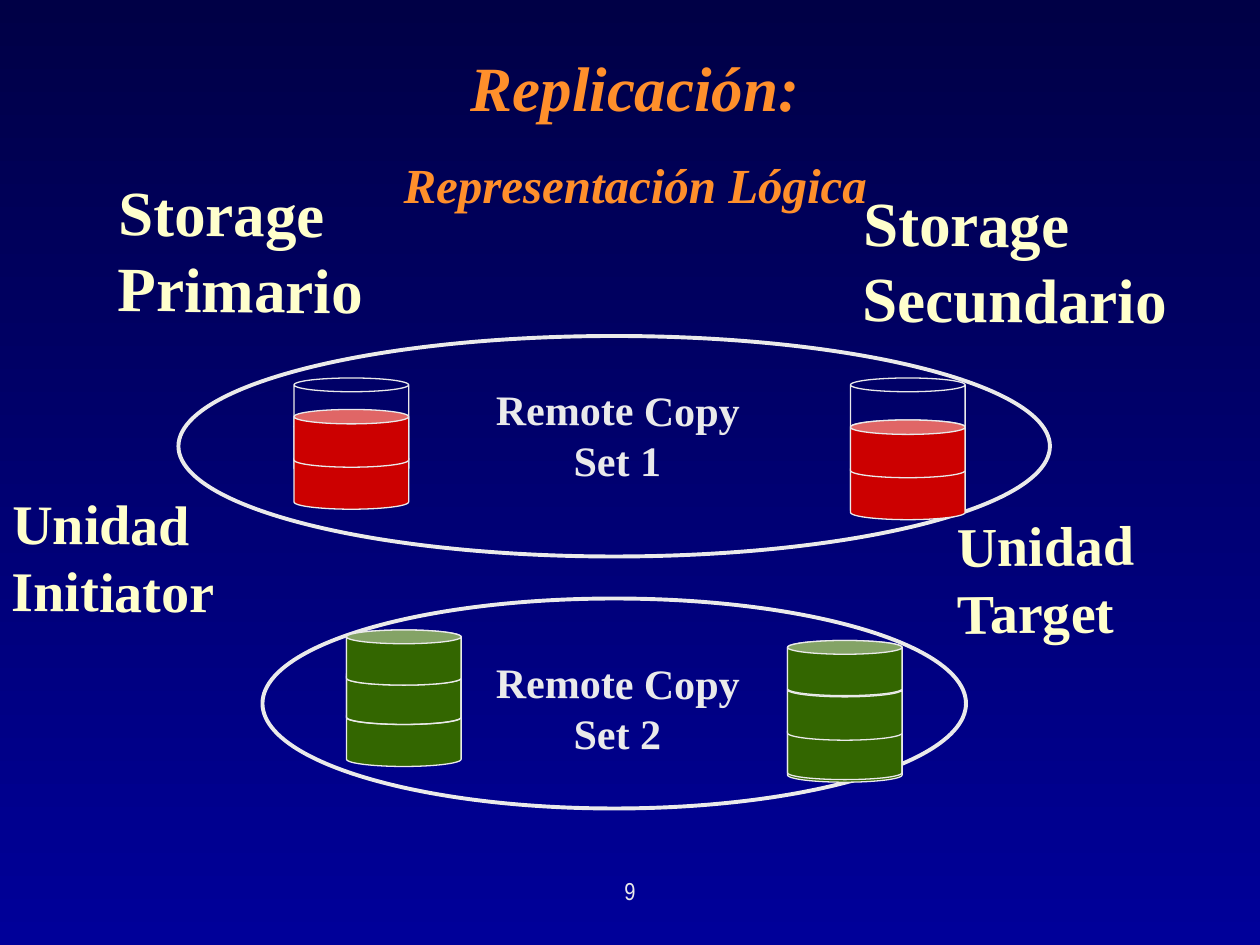
from dataclasses import dataclass
from typing import NamedTuple

import pptx
import pptx.dml.color
import pptx.enum.shapes
import pptx.enum.text
import pptx.util

Pt = pptx.util.Pt
RGB = pptx.dml.color.RGBColor.from_string
Align = pptx.enum.text.PP_ALIGN
Shapes = pptx.enum.shapes.MSO_SHAPE


@dataclass(frozen=True)
class Theme:
    background_top: str = "000046"
    background_bottom: str = "000099"
    title: str = "FF8F2B"
    label: str = "FFFFCC"
    light: str = "EAEAEA"
    red: str = "CC0000"
    green: str = "336600"
    font: str = "Times New Roman"
    number_font: str = "Arial Narrow"
    title_size: float = 36
    subtitle_size: float = 28
    storage_size: float = 36
    unit_size: float = 32
    set_size: float = 24
    number_size: float = 14
    line_height: float = 1.2
    ellipse_line: float = 2.25
    cylinder_line: float = 0.75


class Box(NamedTuple):
    left: float
    top: float
    width: float
    height: float


class Label(NamedTuple):
    lines: list[str]
    box: Box
    size: float
    color: str
    align: Align = Align.LEFT
    rotation: float = 0.5


class CopySet(NamedTuple):
    ellipse: Box
    label: Label


class Cylinder(NamedTuple):
    top: float
    height: float = 33
    filled: bool = True


class Stack(NamedTuple):
    left: float
    color: str
    cylinders: list[Cylinder]


THEME = Theme()
CYLINDER_WIDTH = 65.5
OUTLINE_HEIGHT = 31.5


def outline(top: float) -> Cylinder:
    return Cylinder(top, OUTLINE_HEIGHT, False)


def set_label(number: int, top: float) -> Label:
    return Label(["Remote Copy", f"Set {number}"], Box(273, top, 160, 65),
                 THEME.set_size, THEME.light, Align.CENTER)


LABELS = [
    Label(["Storage", "Primario"], Box(60.5, 96, 164, 93.5), THEME.storage_size, THEME.label),
    Label(["Storage", "Secundario"], Box(486, 102, 197, 93.5), THEME.storage_size, THEME.label),
    Label(["Unidad", "Initiator"], Box(0, 276, 146, 84), THEME.unit_size, THEME.label),
    Label(["Unidad", "Target"], Box(540, 288, 124, 84), THEME.unit_size, THEME.label,
          rotation=359.5),
]

COPY_SETS = [
    CopySet(Box(102, 192, 498, 126), set_label(1, 216)),
    CopySet(Box(150, 342, 402, 120), set_label(2, 372)),
]

# Cylinders are listed from back to front.
STACKS = [
    Stack(168, THEME.red, [outline(240), outline(216), Cylinder(258), Cylinder(234)]),
    Stack(198, THEME.green, [Cylinder(405), Cylinder(381), outline(360), outline(382.5),
                             Cylinder(360, OUTLINE_HEIGHT)]),
    Stack(486, THEME.red, [outline(240), outline(216), outline(264),
                           Cylinder(264), Cylinder(240)]),
    Stack(450, THEME.green, [Cylinder(414), outline(366), outline(390), outline(414),
                             Cylinder(390), Cylinder(366, OUTLINE_HEIGHT)]),
]


def place(shape: pptx.shapes.base.BaseShape, box: Box) -> None:
    shape.left, shape.top, shape.width, shape.height = map(Pt, box)


def write_line(paragraph, text: str, *, size: float, color: str, align: Align,
               font: str = THEME.font, bold: bool = True, italic: bool = False,
               space_before: float = 0) -> None:
    paragraph.alignment = align
    paragraph.line_spacing = Pt(size * THEME.line_height)
    paragraph.space_before = Pt(space_before)
    run = paragraph.add_run()
    run.text = text
    run.font.name = font
    run.font.size = Pt(size)
    run.font.bold = bold
    run.font.italic = italic
    run.font.color.rgb = RGB(color)


def draw_background(slide: pptx.slide.Slide) -> None:
    fill = slide.background.fill
    fill.gradient()
    fill.gradient_angle = 270
    for stop, color in zip(fill.gradient_stops, (THEME.background_top, THEME.background_bottom)):
        stop.color.rgb = RGB(color)


def draw_title(slide: pptx.slide.Slide) -> None:
    title = slide.shapes.title
    place(title, Box(150, 24, 426, 101.5))
    frame = title.text_frame
    frame.auto_size = pptx.enum.text.MSO_AUTO_SIZE.NONE
    frame.vertical_anchor = pptx.enum.text.MSO_ANCHOR.TOP
    write_line(frame.paragraphs[0], "Replicación:", size=THEME.title_size, color=THEME.title,
               align=Align.CENTER, italic=True, space_before=22.5)
    write_line(frame.add_paragraph(), "Representación Lógica", size=THEME.subtitle_size,
               color=THEME.title, align=Align.CENTER, italic=True, space_before=17.5)


def draw_label(slide: pptx.slide.Slide, label: Label) -> None:
    text_box = slide.shapes.add_textbox(*map(Pt, label.box))
    text_box.rotation = label.rotation
    frame = text_box.text_frame
    frame.word_wrap = False
    frame.auto_size = pptx.enum.text.MSO_AUTO_SIZE.NONE
    for index, line in enumerate(label.lines):
        paragraph = frame.add_paragraph() if index else frame.paragraphs[0]
        write_line(paragraph, line, size=label.size, color=label.color, align=label.align)


def draw_shape(slide: pptx.slide.Slide, kind: Shapes, box: Box, line_width: float,
               fill: str | None = None) -> None:
    shape = slide.shapes.add_shape(kind, *map(Pt, box))
    shape.shadow.inherit = False
    if fill:
        shape.fill.solid()
        shape.fill.fore_color.rgb = RGB(fill)
    else:
        shape.fill.background()
    shape.line.color.rgb = RGB(THEME.light)
    shape.line.width = Pt(line_width)


def draw_stack(slide: pptx.slide.Slide, stack: Stack) -> None:
    for cylinder in stack.cylinders:
        box = Box(stack.left, cylinder.top, CYLINDER_WIDTH, cylinder.height)
        draw_shape(slide, Shapes.CAN, box, THEME.cylinder_line,
                   stack.color if cylinder.filled else None)


def draw_slide_number(slide: pptx.slide.Slide) -> None:
    text_box = slide.shapes.add_textbox(*map(Pt, Box(327, 497, 66, 18)))
    text_box.text_frame.word_wrap = True
    write_line(text_box.text_frame.paragraphs[0], "9", size=THEME.number_size, color=THEME.light,
               align=Align.CENTER, font=THEME.number_font, bold=False)


def main() -> None:
    presentation = pptx.Presentation()
    presentation.slide_width, presentation.slide_height = Pt(720), Pt(540)
    slide = presentation.slides.add_slide(presentation.slide_layouts.get_by_name("Title Only"))
    draw_background(slide)
    draw_title(slide)
    for copy_set in COPY_SETS:
        draw_shape(slide, Shapes.OVAL, copy_set.ellipse, THEME.ellipse_line)
        draw_label(slide, copy_set.label)
    for label in LABELS:
        draw_label(slide, label)
    for stack in STACKS:
        draw_stack(slide, stack)
    draw_slide_number(slide)
    presentation.save("out.pptx")


if __name__ == "__main__":
    main()
